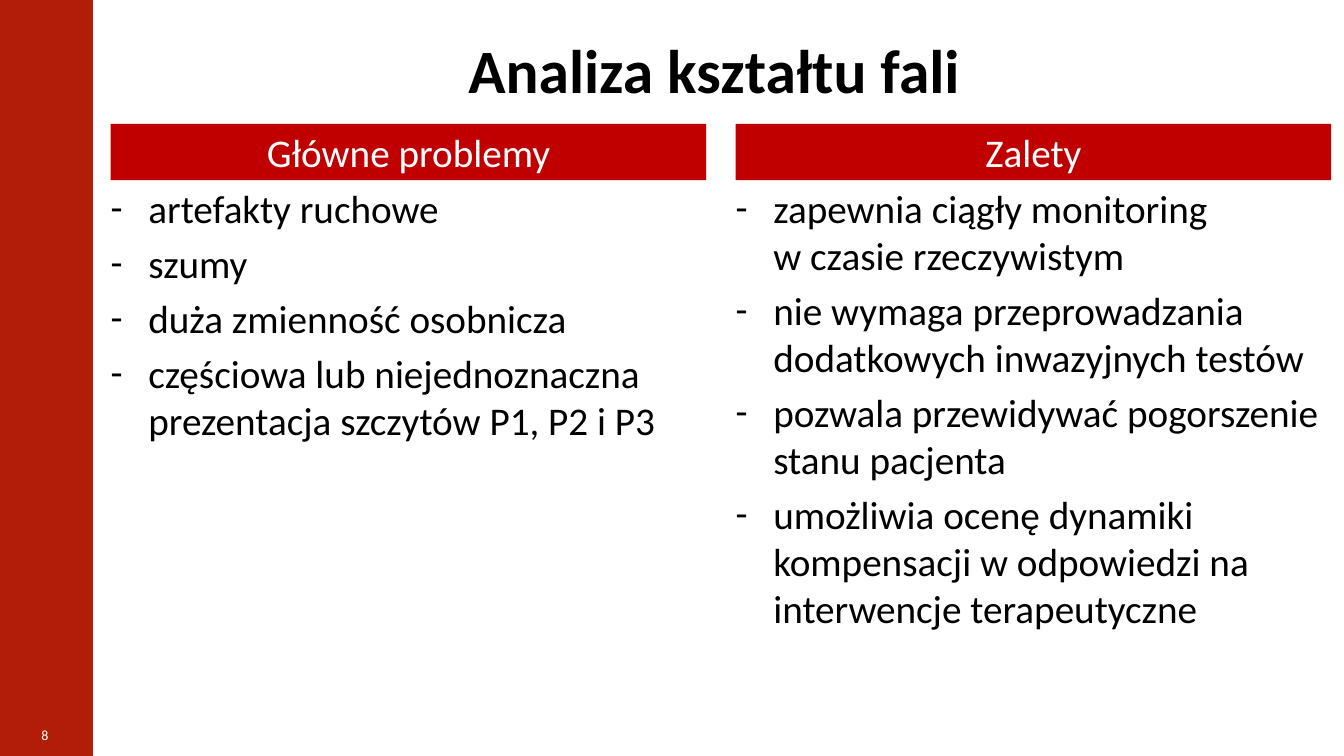
from lxml.etree import SubElement
from pptx import Presentation
from pptx.dml.color import RGBColor
from pptx.enum.shapes import MSO_SHAPE
from pptx.enum.text import MSO_ANCHOR, PP_ALIGN
from pptx.oxml.ns import qn
from pptx.util import Cm, Pt

BLACK = RGBColor(0x00, 0x00, 0x00)
WHITE = RGBColor(0xFF, 0xFF, 0xFF)
SIDEBAR_RED = RGBColor(0xB1, 0x1D, 0x09)
HEADING_RED = RGBColor(0xC0, 0x00, 0x00)

FONT = "Calibri"
BODY_SIZE = 28
SPACE_BEFORE = Pt(5.6)
INDENT = Cm(0.95)

SLIDE_WIDTH, SLIDE_HEIGHT = Cm(33.87), Cm(19.05)
COLUMN_LEFT = Cm(2.79)
COLUMN_STEP = Cm(15.75)
COLUMN_WIDTH = Cm(15.01)
HEADING_TOP, HEADING_HEIGHT = Cm(3.12), Cm(1.42)
LIST_TOP, LIST_HEIGHT = Cm(4.52), Cm(14.4)

COLUMNS = [
    ("Główne problemy", [
        "artefakty ruchowe",
        "szumy",
        "duża zmienność osobnicza",
        "częściowa lub niejednoznaczna prezentacja szczytów P1, P2 i P3",
    ]),
    ("Zalety", [
        "zapewnia ciągły monitoring\nw czasie rzeczywistym",
        "nie wymaga przeprowadzania dodatkowych inwazyjnych testów",
        "pozwala przewidywać pogorszenie stanu pacjenta",
        "umożliwia ocenę dynamiki kompensacji w odpowiedzi na interwencje terapeutyczne",
    ]),
]


def add_text(paragraph, text, size, color, bold=False):
    for index, line in enumerate(text.split("\n")):
        if index:
            paragraph.add_line_break()
        run = paragraph.add_run()
        run.text = line
        run.font.name = FONT
        run.font.size = Pt(size)
        run.font.bold = bold
        run.font.color.rgb = color


def set_frame(shape, left_inset, right_inset, anchor):
    frame = shape.text_frame
    frame.word_wrap = True
    frame.vertical_anchor = anchor
    frame.margin_left, frame.margin_right = left_inset, right_inset
    frame.margin_top = frame.margin_bottom = Cm(0.13)
    return frame


def add_rectangle(slide, left, top, width, height, color):
    shape = slide.shapes.add_shape(MSO_SHAPE.RECTANGLE, left, top, width, height)
    shape.shadow.inherit = False
    shape.fill.solid()
    shape.fill.fore_color.rgb = color
    shape.line.fill.background()
    return shape


def add_centered_box(slide, left, top, width, height, text, size, color,
                     bold=False, left_inset=Cm(0.25), anchor=MSO_ANCHOR.TOP):
    shape = slide.shapes.add_textbox(left, top, width, height)
    frame = set_frame(shape, left_inset, Cm(0.25), anchor)
    paragraph = frame.paragraphs[0]
    paragraph.alignment = PP_ALIGN.CENTER
    add_text(paragraph, text, size, color, bold)


def add_heading(slide, left, text):
    shape = add_rectangle(slide, left, HEADING_TOP, COLUMN_WIDTH, HEADING_HEIGHT, HEADING_RED)
    frame = set_frame(shape, Cm(0.3), Cm(0.3), MSO_ANCHOR.MIDDLE)
    paragraph = frame.paragraphs[0]
    paragraph.alignment = PP_ALIGN.CENTER
    paragraph.space_before = SPACE_BEFORE
    add_text(paragraph, text, BODY_SIZE, WHITE)


def set_dash_bullet(paragraph):
    properties = paragraph._p.get_or_add_pPr()
    properties.set("marL", str(INDENT))
    properties.set("indent", str(-INDENT))
    SubElement(properties, qn("a:buFont"), typeface=FONT)
    SubElement(properties, qn("a:buChar"), char="-")


def add_dash_list(slide, left, items):
    shape = slide.shapes.add_textbox(left, LIST_TOP, COLUMN_WIDTH, LIST_HEIGHT)
    frame = set_frame(shape, 0, 0, MSO_ANCHOR.TOP)
    for index, item in enumerate(items):
        paragraph = frame.add_paragraph() if index else frame.paragraphs[0]
        paragraph.space_before = SPACE_BEFORE
        set_dash_bullet(paragraph)
        add_text(paragraph, item, BODY_SIZE, BLACK)


def main():
    presentation = Presentation()
    presentation.slide_width, presentation.slide_height = SLIDE_WIDTH, SLIDE_HEIGHT
    slide = presentation.slides.add_slide(presentation.slide_layouts[6])

    add_rectangle(slide, 0, 0, Cm(2.34), SLIDE_HEIGHT, SIDEBAR_RED)
    add_centered_box(slide, 0, Cm(18.19), Cm(2.26), Cm(0.69), "8", 10, WHITE)
    for index, (heading, items) in enumerate(COLUMNS):
        left = COLUMN_LEFT + index * COLUMN_STEP
        add_dash_list(slide, left, items)
        add_heading(slide, left, heading)
    add_centered_box(slide, COLUMN_LEFT, Cm(0.53), Cm(30.68), Cm(2.39),
                     "Analiza kształtu fali", 44, BLACK, bold=True,
                     left_inset=0, anchor=MSO_ANCHOR.MIDDLE)

    presentation.save("out.pptx")


if __name__ == "__main__":
    main()
